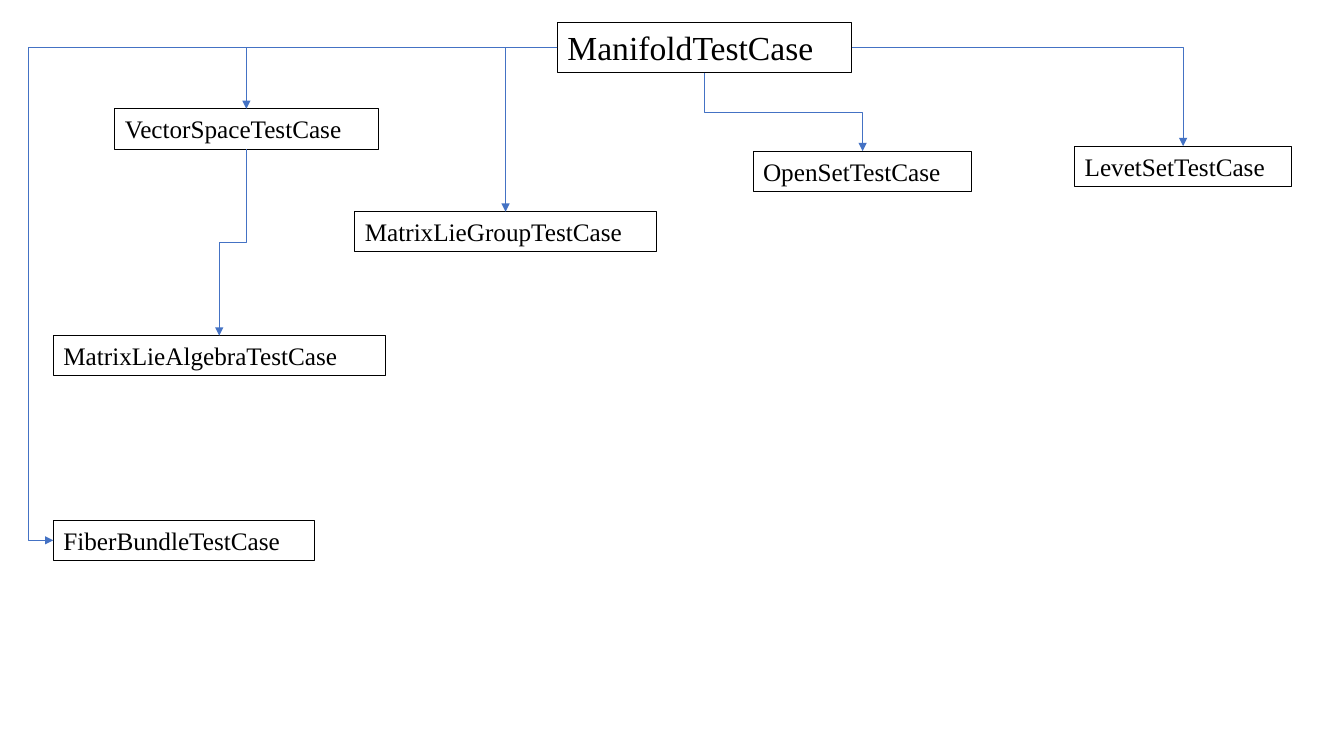
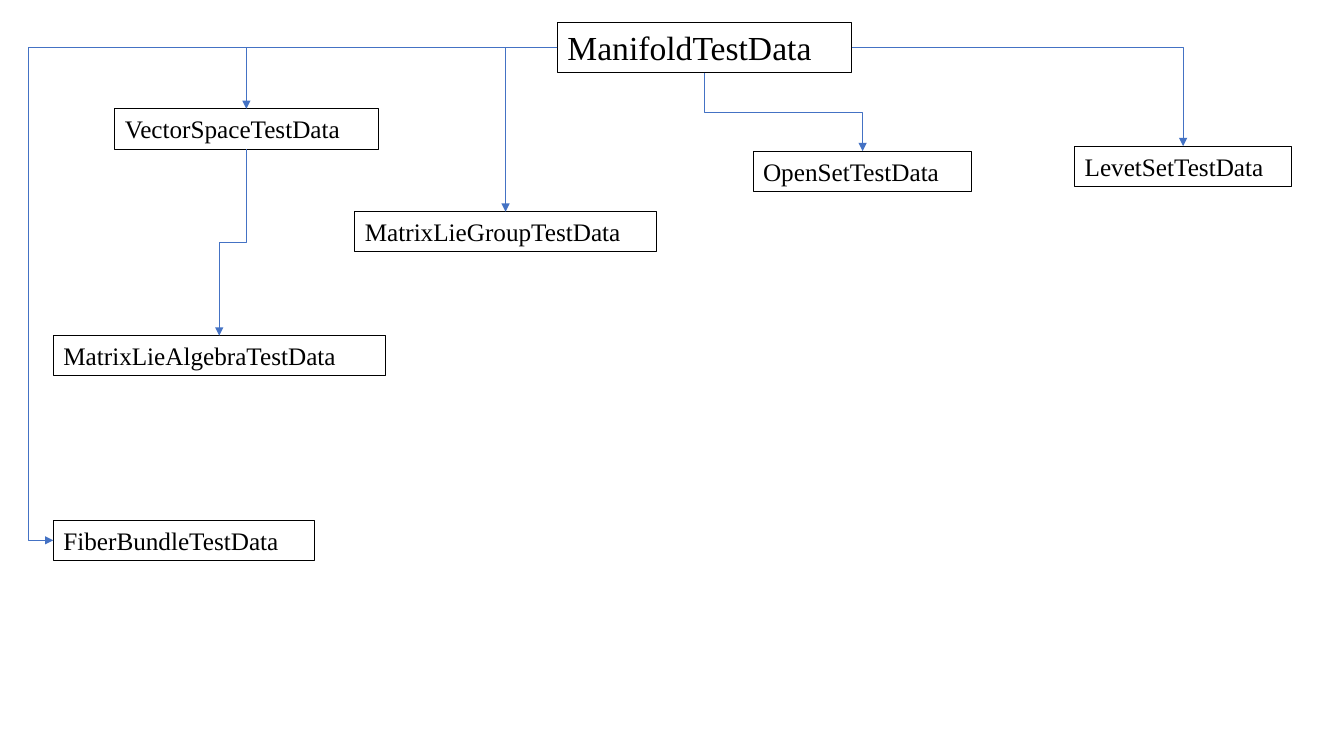
from lxml.etree import SubElement
from pptx import Presentation
from pptx.dml.color import RGBColor
from pptx.enum.shapes import MSO_CONNECTOR
from pptx.enum.text import MSO_AUTO_SIZE
from pptx.oxml.ns import qn
from pptx.util import Inches, Pt

COLOURS = {"ink": "000000", "paper": "FFFFFF", "arrow": "4472C4"}
FONT = "Times New Roman"
TOP, LEFT, BOTTOM, RIGHT = range(4)

CLASSES = {
    "Manifold": (5.53, 0.22, 2.92, 0.5),
    "VectorSpace": (1.14, 1.08, 2.61, 0.4),
    "MatrixLieAlgebra": (0.53, 3.33, 3.29, 0.4),
    "FiberBundle": (0.53, 5.16, 2.59, 0.4),
    "MatrixLieGroup": (3.52, 2.1, 2.99, 0.4),
    "LevetSet": (10.66, 1.45, 2.15, 0.4),
    "OpenSet": (7.47, 1.5, 2.17, 0.4),
}

ARROWS = [
    ("Manifold", LEFT, "VectorSpace", TOP, None),
    ("Manifold", LEFT, "MatrixLieGroup", TOP, None),
    ("Manifold", BOTTOM, "OpenSet", TOP, 0.5),
    ("Manifold", LEFT, "FiberBundle", LEFT, 1.05),
    ("Manifold", RIGHT, "LevetSet", TOP, None),
    ("VectorSpace", BOTTOM, "MatrixLieAlgebra", TOP, 0.5),
]


def colour(name):
    return RGBColor.from_string(COLOURS[name])


def write_text(frame, text, size=18, ink="ink"):
    span = frame.paragraphs[0].add_run()
    span.text = text
    span.font.name = FONT
    span.font.size = Pt(size)
    span.font.color.rgb = colour(ink)


class DiagramDeck:
    def __init__(self):
        self.deck = Presentation()
        self.deck.slide_width = Inches(13.33)
        self.deck.slide_height = Inches(7.5)
        self.page = None

    def add_page(self):
        self.page = self.deck.slides.add_slide(self.deck.slide_layouts[6])
        self.page.background.fill.solid()
        self.page.background.fill.fore_color.rgb = colour("paper")

    def add_box(self, text, place, size):
        box = self.page.shapes.add_textbox(*map(Inches, place))
        box.line.color.rgb = colour("ink")
        box.line.width = Pt(0.75)
        box.text_frame.word_wrap = True
        box.text_frame.auto_size = MSO_AUTO_SIZE.SHAPE_TO_FIT_TEXT
        write_text(box.text_frame, text, size=size)
        return box

    def add_arrow(self, parent, start_side, child, end_side, bend):
        arrow = self.page.shapes.add_connector(MSO_CONNECTOR.ELBOW, 0, 0, 0, 0)
        arrow.begin_connect(parent, start_side)
        arrow.end_connect(child, end_side)
        arrow.line.color.rgb = colour("arrow")
        arrow.line.width = Pt(0.5)
        properties = arrow.element.spPr
        SubElement(arrow.line._get_or_add_ln(), qn("a:tailEnd"), type="triangle")
        SubElement(properties, qn("a:effectLst"))
        geometry = properties.find(qn("a:prstGeom"))
        if bend is None:
            geometry.set("prst", "bentConnector2")
        else:
            SubElement(geometry.find(qn("a:avLst")), qn("a:gd"),
                       name="adj1", fmla=f"val {round(bend * 100000)}")
        if start_side == BOTTOM:
            self.turn_downward(arrow)

    def turn_downward(self, arrow):
        rightward = arrow.end_x > arrow.begin_x
        width, height = arrow.width, arrow.height
        arrow.left += (width - height) // 2
        arrow.top += (height - width) // 2
        arrow.width, arrow.height = height, width
        transform = arrow.element.spPr.find(qn("a:xfrm"))
        transform.set("rot", str((270 if rightward else 90) * 60000))
        transform.set("flipH", "1" if rightward else "0")

    def add_hierarchy(self, suffix):
        self.add_page()
        boxes = {
            name: self.add_box(name + suffix, place, 24 if name == "Manifold" else 18)
            for name, place in CLASSES.items()
        }
        for parent, start_side, child, end_side, bend in ARROWS:
            self.add_arrow(boxes[parent], start_side, boxes[child], end_side, bend)


def main():
    diagram = DiagramDeck()
    for suffix in ("TestCase", "TestData"):
        diagram.add_hierarchy(suffix)
    diagram.deck.save("out.pptx")


if __name__ == "__main__":
    main()
